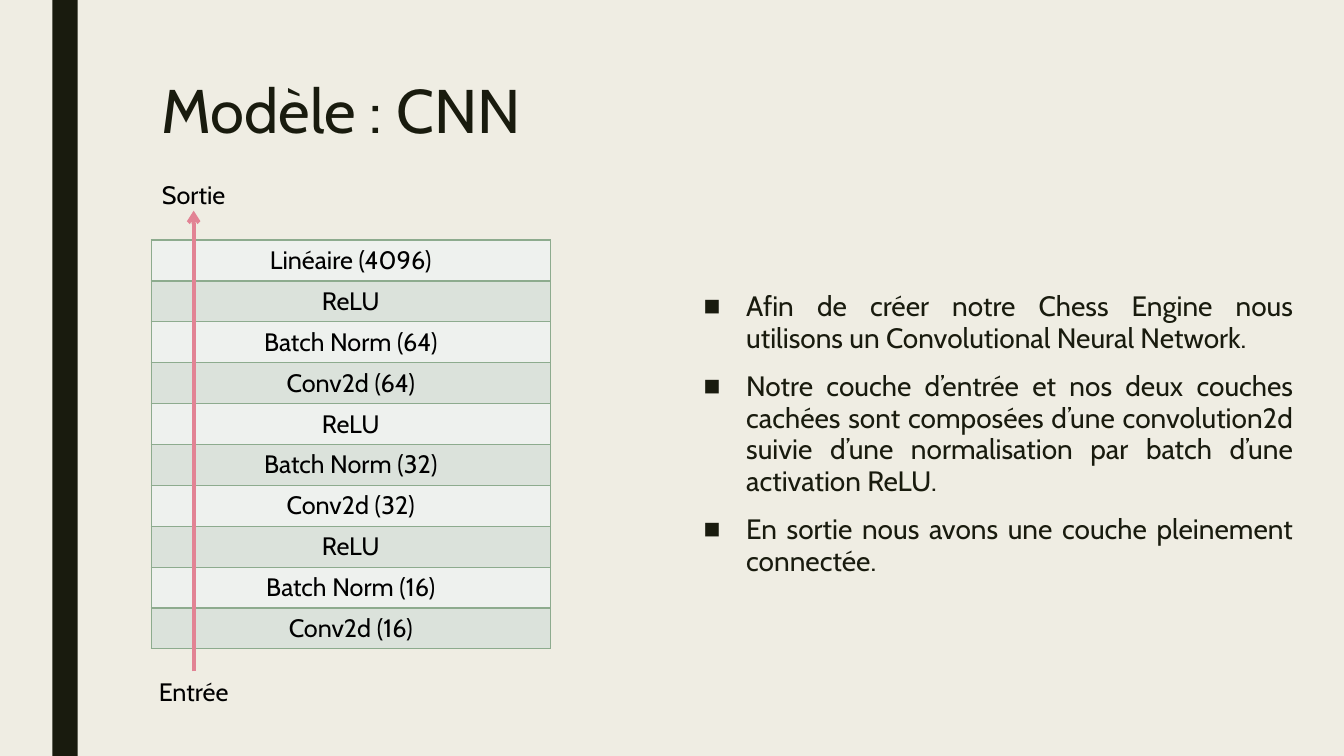
from dataclasses import dataclass
from typing import Any

from lxml.etree import SubElement
from pptx import Presentation
from pptx.dml.color import RGBColor
from pptx.enum.dml import MSO_FILL
from pptx.enum.shapes import MSO_CONNECTOR, MSO_SHAPE
from pptx.enum.text import MSO_ANCHOR, MSO_AUTO_SIZE, PP_ALIGN
from pptx.oxml.ns import qn
from pptx.slide import Slide
from pptx.util import Cm, Pt


@dataclass(frozen=True)
class Theme:
    font: str = "Cabin"
    paper: str = "EFEDE3"
    ink: str = "191B0E"
    black: str = "000000"
    light: str = "EEF1EE"
    dark: str = "DBE2DB"
    edge: str = "8DAB8E"
    arrow: str = "E28394"
    title: int = 44
    body: int = 20
    small: int = 18


@dataclass(frozen=True)
class Box:
    left: float
    top: float
    width: float
    height: float

    def args(self) -> tuple:
        return Cm(self.left), Cm(self.top), Cm(self.width), Cm(self.height)


@dataclass(frozen=True)
class Label:
    text: str
    box: Box


THEME = Theme()
PAGE = Box(0, 0, 33.87, 19.05)
BAR = Box(1.32, 0, 0.64, PAGE.height)
HEAD = Box(3.81, 1.9, 26.67, 4.11)
BODY = Box(17.48, 7.21, 15.37, 9.96)
GRID = Box(3.81, 6.05, 10.06, 10.3)
LABELS = [
    Label("Entrée", Box(3.33, 16.92, 3.1, 1.02)),
    Label("Sortie", Box(3.33, 4.39, 3.1, 1.02)),
]
LAYERS = ["Linéaire (4096)"] + [
    name
    for size in (64, 32, 16)
    for name in ("ReLU", f"Batch Norm ({size})", f"Conv2d ({size})")
]
POINTS = [
    "Afin de créer notre Chess Engine nous utilisons un Convolutional Neural Network.",
    "Notre couche d’entrée et nos deux couches cachées sont composées d’une "
    "convolution2d suivie d’une normalisation par batch d’une activation ReLU.",
    "En sortie nous avons une couche pleinement connectée.",
]


def rgb(code: str) -> RGBColor:
    return RGBColor.from_string(code)


def apply(item: Any, form: dict[str, Any]) -> None:
    for key, value in form.items():
        setattr(item, key, value)


def write(frame: Any, lines: list[str], size: int, color: str, form: dict[str, Any]) -> None:
    """Fill a text frame, one paragraph a line, with one look."""
    frame.text = "\n".join(lines)
    for para in frame.paragraphs:
        apply(para, form)
        for run in para.runs:
            apply(run.font, {"name": THEME.font, "size": Pt(size), "bold": False})
            run.font.color.rgb = rgb(color)


def place(shape: Any, box: Box) -> None:
    apply(shape, dict(zip(("left", "top", "width", "height"), box.args())))
    apply(shape.text_frame, {
        "word_wrap": True,
        "auto_size": MSO_AUTO_SIZE.NONE,
        "vertical_anchor": MSO_ANCHOR.TOP,
    })


def add_bar(slide: Slide) -> None:
    bar = slide.shapes.add_shape(MSO_SHAPE.RECTANGLE, *BAR.args())
    bar.shadow.inherit = False
    bar.fill.solid()
    bar.fill.fore_color.rgb = rgb(THEME.ink)
    bar.line.fill.background()


def add_text(slide: Slide) -> None:
    title, body = slide.shapes.title, slide.placeholders[1]
    place(title, HEAD)
    write(title.text_frame, ["Modèle : CNN"], THEME.title, THEME.ink,
          {"alignment": PP_ALIGN.LEFT, "line_spacing": 0.89})
    place(body, BODY)
    write(body.text_frame, POINTS, THEME.body, THEME.ink, {
        "alignment": PP_ALIGN.JUSTIFY,
        "line_spacing": 0.94,
        "space_before": Pt(10),
        "space_after": Pt(2),
    })
    for para in body.text_frame.paragraphs:
        props = para._p.get_or_add_pPr()
        props.set("marL", str(Cm(1.07)))
        props.set("indent", str(-Cm(1.07)))
        SubElement(props, qn("a:buChar"), char="■")


def add_edges(cell: Any) -> None:
    props = cell._tc.get_or_add_tcPr()
    for side in ("lnL", "lnR", "lnT", "lnB"):
        line = SubElement(props, qn(f"a:{side}"), w=str(Pt(1)))
        fill = SubElement(line, qn("a:solidFill"))
        SubElement(fill, qn("a:srgbClr"), val=THEME.edge)


def add_grid(slide: Slide) -> None:
    table = slide.shapes.add_table(len(LAYERS), 1, *GRID.args()).table
    apply(table, {"first_row": False, "horz_banding": False})
    for row, name in enumerate(LAYERS):
        cell = table.cell(row, 0)
        write(cell.text_frame, [name], THEME.small, THEME.black,
              {"alignment": PP_ALIGN.CENTER})
        add_edges(cell)
        cell.fill.solid()
        cell.fill.fore_color.rgb = rgb(THEME.dark if row % 2 else THEME.light)


def add_arrow(slide: Slide) -> None:
    line = slide.shapes.add_connector(
        MSO_CONNECTOR.STRAIGHT, Cm(4.88), Cm(16.92), Cm(4.88), Cm(5.31))
    line.line.color.rgb = rgb(THEME.arrow)
    line.line.width = Pt(2.75)
    SubElement(line.line._get_or_add_ln(), qn("a:tailEnd"), type="arrow")
    SubElement(line._element.spPr, qn("a:effectLst"))


def add_label(slide: Slide, label: Label) -> None:
    frame = slide.shapes.add_textbox(*label.box.args()).text_frame
    apply(frame, {"word_wrap": True, "auto_size": MSO_AUTO_SIZE.SHAPE_TO_FIT_TEXT})
    write(frame, [label.text], THEME.small, THEME.black,
          {"alignment": PP_ALIGN.CENTER})


def main() -> None:
    deck = Presentation()
    apply(deck, {"slide_width": Cm(PAGE.width), "slide_height": Cm(PAGE.height)})
    slide = deck.slides.add_slide(deck.slide_layouts[1])
    slide.background.fill.solid()
    slide.background.fill.fore_color.rgb = rgb(THEME.paper)
    add_bar(slide)
    add_text(slide)
    add_grid(slide)
    add_arrow(slide)
    for label in LABELS:
        add_label(slide, label)
    deck.save("out.pptx")


if __name__ == "__main__":
    main()
